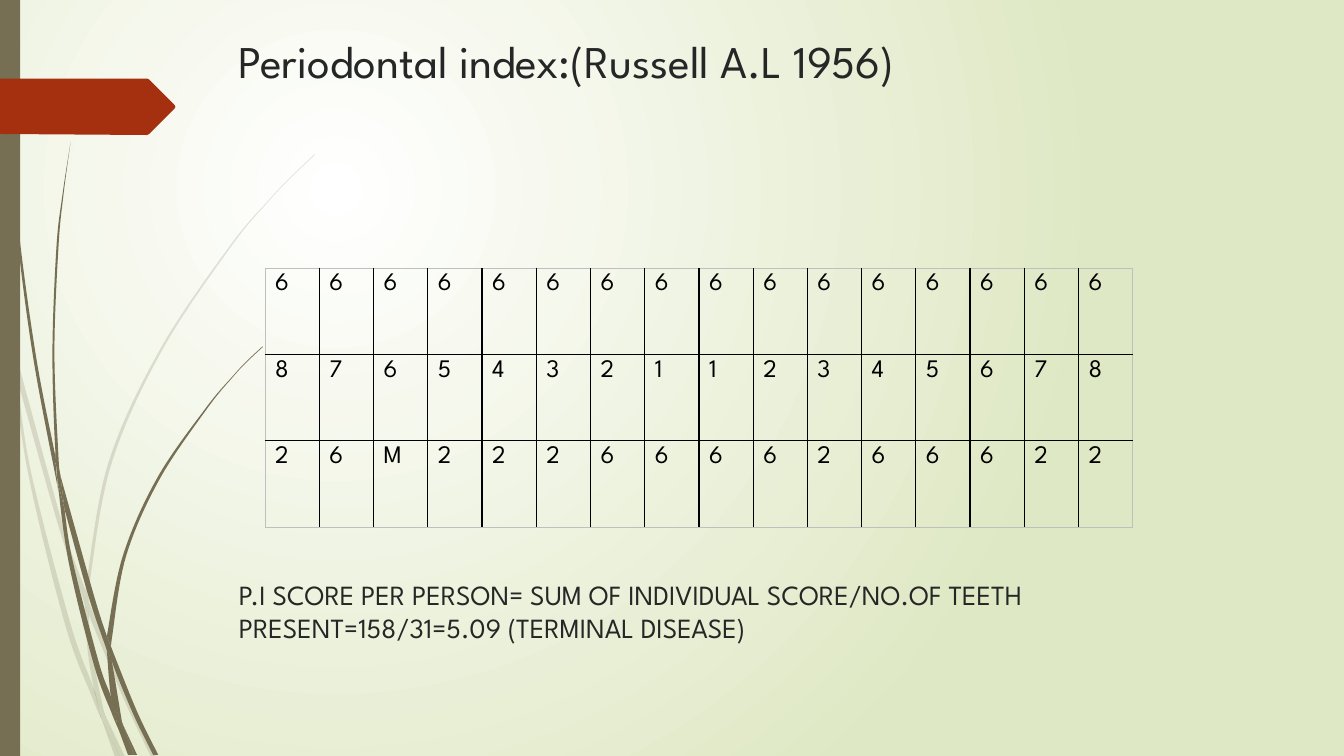
import pptx
import pptx.util
import pptx.dml.color
import pptx.enum.shapes
import pptx.enum.text
import pptx.oxml
import pptx.oxml.ns

PX = 9144  # 100 px to the inch
FONT = "League Spartan"
OLIVE, RED, INK, BLACK = "766F54", "A53010", "262626", "000000"
NS = 'xmlns:a="http://schemas.openxmlformats.org/drawingml/2006/main"'

# Each piece of grass is a ring of smooth edges that meet at corners
PALE_GRASS = [
    [[(11, 350), (9, 322), (0, 282)], [(0, 299), (10, 344), (11, 350)]],
    [[(17, 376), (58, 522), (84, 599)], [(85, 586), (62, 520), (14, 345)]],
    [[(88, 610), (123, 694), (150, 751)], [(155, 751), (127, 692), (92, 607), (88, 596)]],
    [[(119, 751), (124, 751)], [(105, 711)]],
    [[(11, 350), (28, 470), (65, 621), (92, 693), (101, 714)],
     [(99, 707), (93, 683), (70, 619), (31, 469), (17, 376)]],
    [[(84, 599), (87, 646), (93, 683), (96, 692), (105, 711)],
     [(103, 706), (91, 646), (88, 610), (88, 608)]],
    [[(88, 584), (110, 462), (160, 349), (229, 245), (268, 198), (290, 175), (312, 154)],
     [(312, 153), (289, 175), (268, 197), (228, 244), (158, 348), (107, 461), (85, 584)],
     [(85, 586), (88, 596)]],
    [[(101, 714), (114, 751)], [(119, 751)]],
    [[(88, 608), (88, 610)], [(88, 596), (85, 586)], [(84, 599)]],
    [[(93, 683), (99, 707), (101, 714), (119, 751)], [(105, 711), (96, 692)]],
]
DARK_GRASS = [
    [[(3, 0), (4, 48), (7, 110), (17, 233), (33, 355), (56, 477), (57, 481)],
     [(55, 457), (55, 453), (36, 355), (19, 232), (8, 109), (5, 48), (4, 0)]],
    [[(64, 505), (88, 592), (106, 645)], [(106, 631), (93, 590), (60, 472)]],
    [[(110, 641), (111, 656), (132, 708), (152, 749)], [(157, 749), (136, 706), (113, 649)]],
    [[(57, 477), (68, 557), (93, 659), (111, 708), (117, 722)],
     [(116, 717), (110, 691), (98, 657), (72, 556), (64, 505)]],
    [[(60, 472), (58, 453), (54, 349), (58, 245), (63, 193), (70, 141)],
     [(70, 141), (62, 193), (56, 245), (52, 349), (55, 449), (60, 472)]],
    [[(133, 749), (136, 749)], [(122, 719)]],
    [[(57, 477), (64, 505)], [(60, 472), (55, 449)], [(55, 453)]],
    [[(111, 633), (125, 552), (158, 476), (205, 406), (231, 374), (245, 359), (261, 344)],
     [(260, 344), (245, 358), (231, 373), (204, 405), (156, 474), (122, 551), (106, 631)],
     [(110, 641)]],
    [[(117, 722), (127, 749)], [(131, 749)]],
    [[(106, 645), (110, 691), (116, 706), (122, 719)], [(121, 716), (111, 656), (109, 651)]],
    [[(106, 645), (109, 651), (111, 656)], [(110, 641), (106, 631)]],
    [[(110, 691), (116, 717), (117, 722), (130, 749)], [(133, 749), (122, 719), (116, 706)]],
]
MARKER = [[(0, 78), (146, 78)], [(148, 79), (173, 104)],
          [(174, 106), (173, 108)], [(148, 133), (146, 134)], [(0, 133)]]
SCORES = ["6666666666666666", "8765432112345678", "26M2226666266622"]


def px(*lengths):
    return [pptx.util.Emu(round(length * PX)) for length in lengths]


def colour(value):
    return pptx.dml.color.RGBColor.from_string(value)


def apply(target, values):
    for name, value in values.items():
        setattr(target, name, value)


def paint(part, value, opacity=100):
    part.shadow.inherit = False
    part.line.fill.background()
    part.fill.solid()
    part.fill.fore_color.rgb = colour(value)
    if opacity < 100:
        tint = part.fill._xPr.find(".//" + pptx.oxml.ns.qn("a:srgbClr"))
        tint.append(pptx.oxml.parse_xml(f'<a:alpha {NS} val="{opacity * 1000}"/>'))


def write(paragraph, wording, size, ink):
    run = paragraph.add_run()
    run.text = wording
    apply(run.font, {"name": FONT, "size": pptx.util.Pt(size)})
    run.font.color.rgb = colour(ink)


def bend(segment, before, start, end, after):
    """Turn a straight segment into a curve that flows through its neighbours."""
    first = [round(s + (e - b) / 6) for b, s, e in zip(before, start, end)]
    second = [round(e - (a - s) / 6) for s, e, a in zip(start, end, after)]
    knots = "".join(f'<a:pt x="{x}" y="{y}"/>' for x, y in (first, second, end))
    segment.getparent().replace(segment, pptx.oxml.parse_xml(
        f"<a:cubicBezTo {NS}>{knots}</a:cubicBezTo>"))


def outline(slide, left, top, edges):
    points = [px(left + x, top + y) for edge in edges for x, y in edge]
    builder = slide.shapes.build_freeform(*points[0], scale=1.0)
    builder.add_line_segments(points[1:], close=True)
    shape = builder.convert_to_shape()
    segments = list(shape._element.iter(pptx.oxml.ns.qn("a:lnTo")))
    local = [(x - shape.left, y - shape.top) for x, y in points]
    first = 0
    for edge in edges:
        last = first + len(edge) - 1
        if len(edge) > 2:
            for i in range(first, last):
                bend(segments[i], local[max(i - 1, first)], local[i],
                     local[i + 1], local[min(i + 2, last)])
        first = last + 1
    return shape


def backdrop(slide):
    fill = slide.background.fill
    fill.gradient()
    gradient = fill._xPr.find(pptx.oxml.ns.qn("a:gradFill"))
    gradient.getparent().replace(gradient, pptx.oxml.parse_xml(
        f'<a:gradFill {NS} rotWithShape="1"><a:gsLst>'
        '<a:gs pos="0"><a:srgbClr val="FFFFFF"/></a:gs>'
        '<a:gs pos="100000"><a:srgbClr val="DFE8C4"/></a:gs></a:gsLst>'
        '<a:path path="circle"><a:fillToRect l="50000" t="50000" r="100000" b="100000"/>'
        '</a:path></a:gradFill>'))


def grass(slide, left, top, pieces, opacity):
    for edges in pieces:
        paint(outline(slide, left, top, edges), OLIVE, opacity)


def side_bar(slide, left, top, height):
    bar = slide.shapes.add_shape(pptx.enum.shapes.MSO_SHAPE.RECTANGLE,
                                 *px(left, top, 20, height))
    paint(bar, OLIVE)
    paint(outline(slide, left, top, MARKER), RED)


def heading(slide, left, top, width, height):
    frame = slide.shapes.add_textbox(*px(left, top, width, height)).text_frame
    apply(frame, {"word_wrap": True, "vertical_anchor": pptx.enum.text.MSO_ANCHOR.TOP})
    write(frame.paragraphs[0], "Periodontal index:(Russell A.L 1956)", 32.4, INK)
    result = frame.add_paragraph()
    result.space_before = pptx.util.Pt(350)  # leaves room for the table
    write(result, "P.I SCORE PER PERSON= SUM OF INDIVIDUAL SCORE/NO.OF TEETH "
                  "PRESENT=158/31=5.09 (TERMINAL DISEASE)", 19.8, INK)


def border(cell, side, ink, points):
    cell._tc.get_or_add_tcPr().append(pptx.oxml.parse_xml(
        f'<a:{side} {NS} w="{round(points * 12700)}"><a:solidFill>'
        f'<a:srgbClr val="{ink}"/></a:solidFill></a:{side}>'))


def score_table(slide, left, top, width, height):
    rows, columns = len(SCORES), len(SCORES[0])
    grid = slide.shapes.add_table(rows, columns, *px(left, top, width, height)).table
    apply(grid, {"first_row": False, "horz_banding": False})
    for column in grid.columns:
        column.width = px(width / columns)[0]
    for row in grid.rows:
        row.height = px(height / rows)[0]
    for r, line in enumerate(SCORES):
        for c, score in enumerate(line):
            cell = grid.cell(r, c)
            write(cell.text_frame.paragraphs[0], score, 18, BLACK)
            # Grey hairline around the table, black lines inside
            rim = {"lnL": c == 0, "lnR": c == columns - 1, "lnT": r == 0, "lnB": r == rows - 1}
            for side, at_rim in rim.items():
                border(cell, side, *(("BFBFBF", 0.5) if at_rim else (BLACK, 1)))
            cell.fill.background()


def main():
    deck = pptx.Presentation()
    apply(deck, dict(zip(("slide_width", "slide_height"), px(1333, 750))))
    slide = deck.slides.add_slide(deck.slide_layouts[6])
    backdrop(slide)
    grass(slide, 0, 0, PALE_GRASS, 20)
    grass(slide, 0, 0, DARK_GRASS, 100)
    side_bar(slide, 0, 0, 750)
    heading(slide, 227, 28, 889, 682)
    score_table(slide, 263, 266, 861, 257)
    deck.save("out.pptx")


if __name__ == "__main__":
    main()
